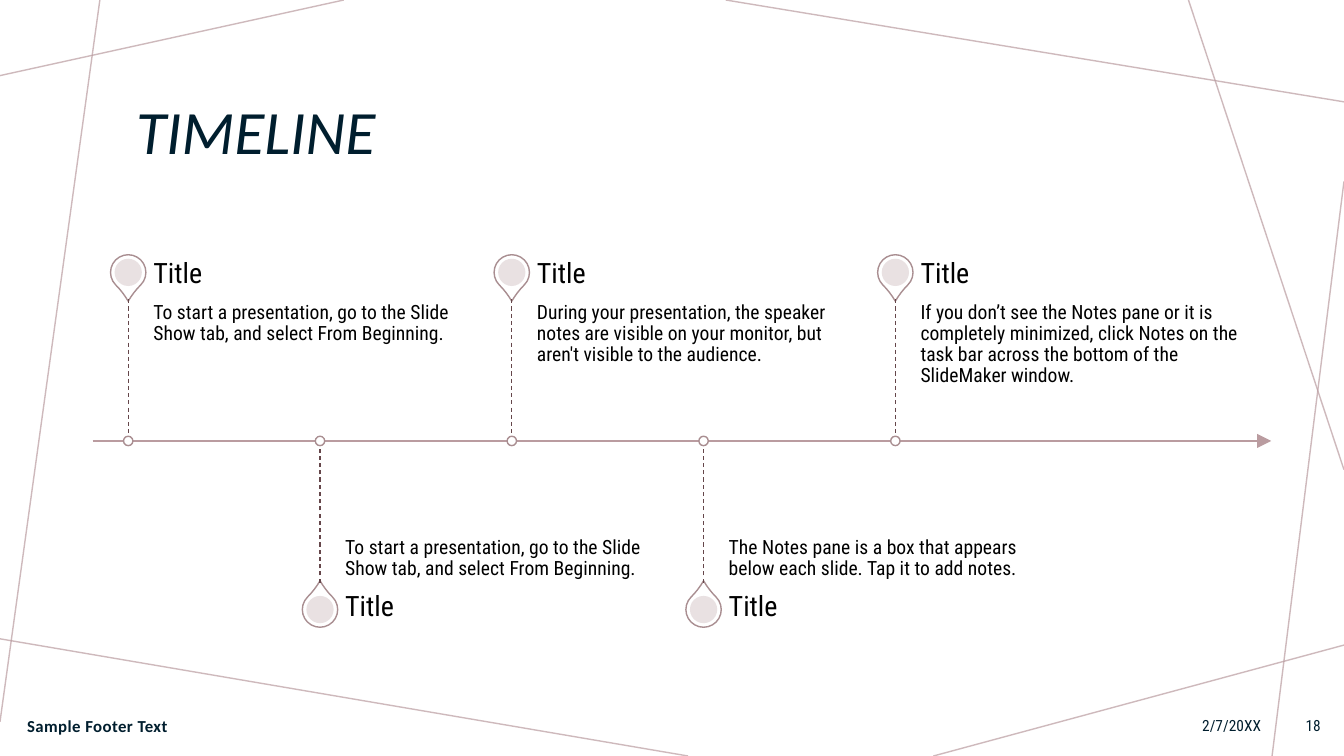
from dataclasses import dataclass

from lxml import etree
from pptx import Presentation
from pptx.dml.color import RGBColor
from pptx.enum.dml import MSO_LINE
from pptx.enum.shapes import MSO_CONNECTOR, MSO_SHAPE
from pptx.enum.text import MSO_ANCHOR, PP_ALIGN
from pptx.oxml.ns import qn
from pptx.util import Emu, Inches, Pt

STRAIGHT = MSO_CONNECTOR.STRAIGHT
DROP, OVAL = MSO_SHAPE.TEAR, MSO_SHAPE.OVAL
TOP, MIDDLE, BOTTOM = MSO_ANCHOR.TOP, MSO_ANCHOR.MIDDLE, MSO_ANCHOR.BOTTOM
LEFT, RIGHT = PP_ALIGN.LEFT, PP_ALIGN.RIGHT
DASH = MSO_LINE.DASH

COLORS = {"frame": "BA9CA0", "pin": "A98E91", "core": "E7DEDF", "stem": "65464A",
          "white": "FFFFFF", "text": "000000", "navy": "001E2E"}
HEAD, BODY = "Calibri", "Roboto Condensed"

# The grid has 100 columns and 100 rows.
WIDTH, HEIGHT = Inches(13.333), Inches(7.5)
AXIS = 58.33               # row of the time axis
FIRST, STEP = 9.54, 14.27  # columns: first stop, gap between stops
STEM, PIN, LABEL = 18.75, 22.3, 22.07  # rows away from the axis
INDENT, SPAN, LABEL_H = 1.87, 24.08, 6.53


@dataclass
class Stop:
    text: str
    above: bool


@dataclass
class Edge:
    x1: float
    y1: float
    x2: float
    y2: float


@dataclass
class Note:
    text: str
    left: float
    width: float
    size: int
    font: str
    bold: bool
    align: PP_ALIGN


STOPS = [
    Stop("To start a presentation, go to the Slide Show tab, and select From Beginning.", True),
    Stop("To start a presentation, go to the Slide Show tab, and select From Beginning.", False),
    Stop("During your presentation, the speaker notes are visible on your monitor, "
         "but aren't visible to the audience.", True),
    Stop("The Notes pane is a box that appears below each slide. Tap it to add notes.", False),
    Stop("If you don’t see the Notes pane or it is completely minimized, click Notes "
         "on the task bar across the bottom of the SlideMaker window.", True),
]
EDGES = [
    Edge(25.58, 0, 0, 10), Edge(7.43, 0, 0, 95.47), Edge(51.2, 100, 0, 84.5),
    Edge(100, 85.33, 69.45, 100), Edge(100, 24, 94.65, 100),
    Edge(100, 62.13, 88.43, 0), Edge(100, 13.47, 54, 0),
]
NOTES = [
    Note("Sample Footer Text", 1.28, 36.9, 12, HEAD, True, LEFT),
    Note("2/7/20XX", 60.15, 34.43, 11, BODY, False, RIGHT),
    Note("18", 95.18, 3.83, 11, BODY, False, RIGHT),
]


def col(count: float) -> Emu:
    return Emu(int(WIDTH * count / 100))


def row(count: float) -> Emu:
    return Emu(int(HEIGHT * count / 100))


def rgb(name: str) -> RGBColor:
    return RGBColor.from_string(COLORS[name])


def fade(shape, share: int) -> None:
    """Set the opacity, in percent, of the shape's one solid colour."""
    tint = next(shape._element.spPr.iter(qn("a:srgbClr")))
    etree.SubElement(tint, qn("a:alpha"), val=str(share * 1000))


def draw_line(slide, edge: Edge, color: str, width: float = 1):
    line = slide.shapes.add_connector(
        STRAIGHT, col(edge.x1), row(edge.y1), col(edge.x2), row(edge.y2))
    line.line.color.rgb = rgb(color)
    line.line.width = Pt(width)
    etree.SubElement(line._element.spPr, qn("a:effectLst"))
    return line


def draw_disc(slide, kind: MSO_SHAPE, x: float, y: float, size: float,
              fill: str, line: str = ""):
    """Centre a round shape on column x and row y; its size is in columns."""
    side = col(size)
    disc = slide.shapes.add_shape(
        kind, col(x) - side // 2, row(y) - side // 2, side, side)
    disc.shadow.inherit = False
    disc.fill.solid()
    disc.fill.fore_color.rgb = rgb(fill)
    if line:
        disc.line.color.rgb = rgb(line)
        disc.line.width = Pt(1)
    else:
        disc.line.fill.background()
    return disc


def set_text(shape, text: str, size: int, font: str, color: str,
             anchor: MSO_ANCHOR = MIDDLE, spacing: float = 0.9):
    frame = shape.text_frame
    frame.text = text
    frame.word_wrap = True
    frame.vertical_anchor = anchor
    para = frame.paragraphs[0]
    para.line_spacing = spacing
    para.font.size = Pt(size)
    para.font.name = font
    para.font.color.rgb = rgb(color)
    return para


def draw_label(slide, text: str, x: float, y: float, height: float,
               size: int, anchor: MSO_ANCHOR, pad: float = 0) -> None:
    box = slide.shapes.add_textbox(col(x), row(y), col(SPAN), row(height))
    set_text(box, text, size, BODY, "text", anchor)
    frame = box.text_frame
    frame.margin_left = frame.margin_right = 0
    frame.margin_top = frame.margin_bottom = row(pad)


def draw_stop(slide, stop: Stop, x: float) -> None:
    side = -1 if stop.above else 1
    pin = draw_disc(slide, DROP, x, AXIS + side * PIN, 2.63, "white", "pin")
    pin.adjustments[0] = 1.15
    pin.rotation = 135 if stop.above else 315
    fade(draw_disc(slide, OVAL, x, AXIS + side * PIN, 2.03, "core"), 90)

    left = x + INDENT
    draw_label(slide, stop.text, left, AXIS - STEM if stop.above else AXIS,
               STEM, 14, TOP if stop.above else BOTTOM, 0.4)
    draw_label(slide, "Title", left, AXIS + side * LABEL - LABEL_H / 2,
               LABEL_H, 20, MIDDLE)

    stem = draw_line(slide, Edge(x, AXIS + side * STEM, x, AXIS), "stem", 0.75)
    stem.line.dash_style = DASH
    draw_disc(slide, OVAL, x, AXIS, 0.7, "white", "pin")


def draw_title(slide) -> None:
    title = slide.shapes.title
    title.left, title.top = col(9.38), row(7.73)
    title.width, title.height = col(81.23), row(20.13)
    para = set_text(title, "TIMELINE", 44, HEAD, "navy")
    para.alignment = LEFT
    para.font.italic = True


def draw_note(slide, note: Note) -> None:
    box = slide.shapes.add_textbox(col(note.left), row(93.33), col(note.width), row(5.33))
    para = set_text(box, note.text, note.size, note.font, "navy", spacing=1)
    para.alignment = note.align
    para.font.bold = note.bold
    if note.bold:
        para.runs[0].font._element.set("spc", "30")


def main() -> None:
    deck = Presentation()
    deck.slide_width, deck.slide_height = WIDTH, HEIGHT
    slide = deck.slides.add_slide(deck.slide_layouts[5])
    for edge in EDGES:
        fade(draw_line(slide, edge, "frame"), 70)
    axis = draw_line(slide, Edge(6.9, AXIS, 94.58, AXIS), "frame")
    etree.SubElement(axis.line._get_or_add_ln(), qn("a:tailEnd"),
                     type="triangle", w="lg", len="lg")
    for place, stop in enumerate(STOPS):
        draw_stop(slide, stop, FIRST + place * STEP)
    draw_title(slide)
    for note in NOTES:
        draw_note(slide, note)
    deck.save("out.pptx")


if __name__ == "__main__":
    main()
